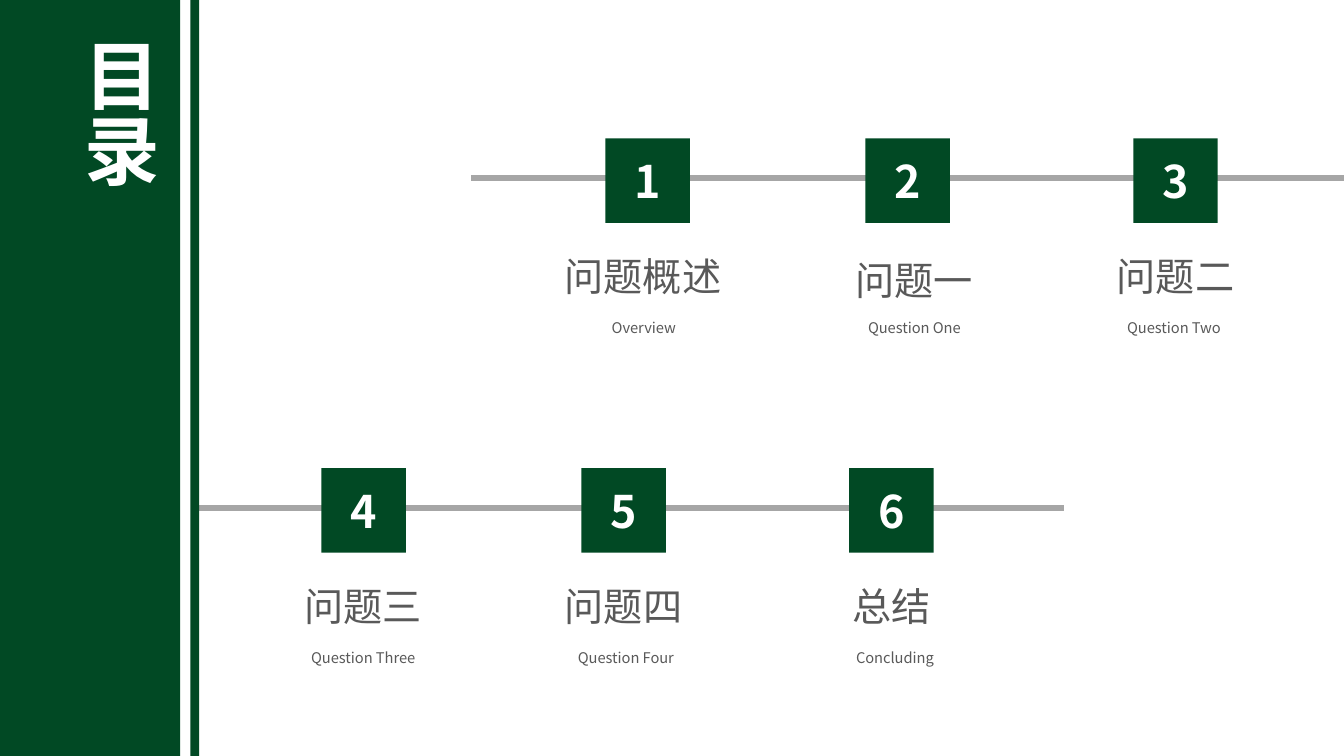
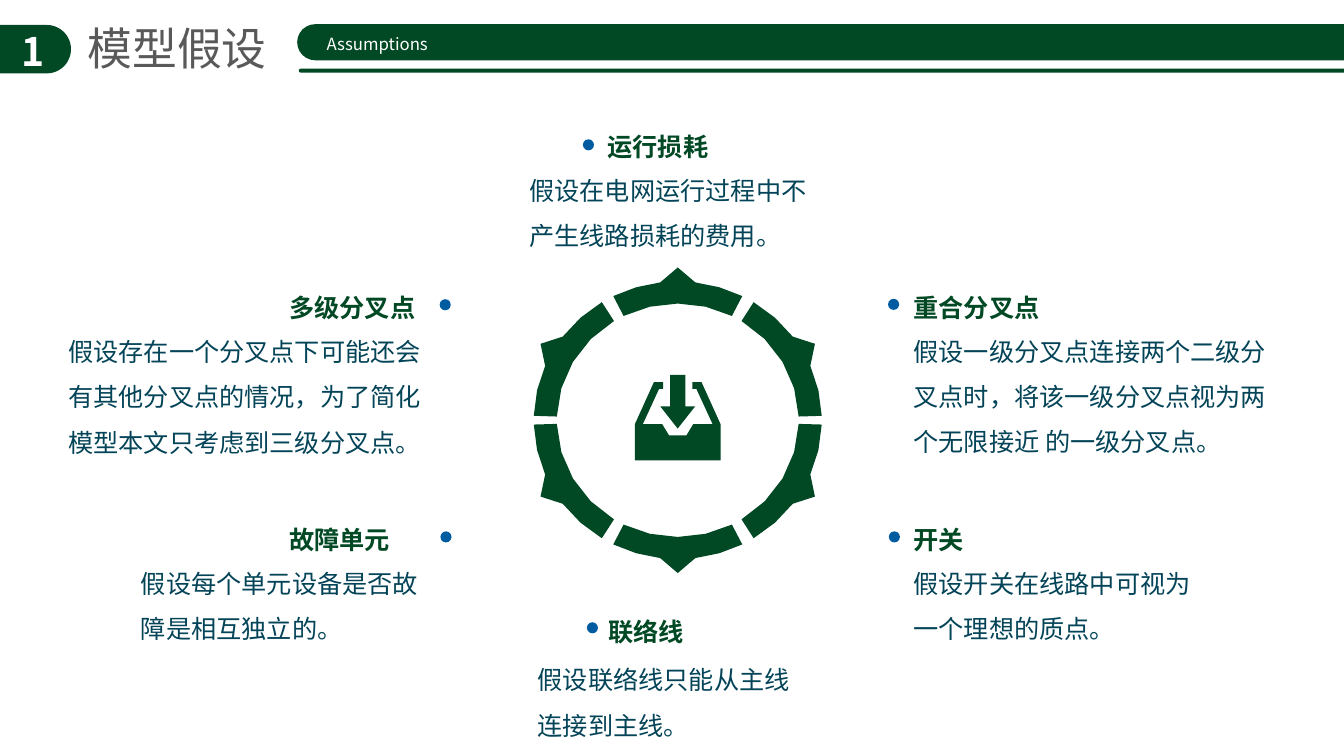
from math import cos, radians, sin

from lxml.etree import SubElement
from pptx import Presentation
from pptx.dml.color import RGBColor
from pptx.enum.shapes import MSO_CONNECTOR, MSO_SHAPE as Preset
from pptx.enum.text import MSO_ANCHOR, MSO_AUTO_SIZE, PP_ALIGN as Align
from pptx.oxml.ns import qn
from pptx.util import Cm, Pt

GREEN, BLUE, TEAL = "014924", "005CA1", "044458"
GRAY, RAIL_GRAY, WHITE = "595959", "A6A6A6", "FFFFFF"
SANS, BODY = "Noto Sans CJK SC", "Calibri"
WIDTH, HEIGHT = 33.87, 19.05


def paint(shape, color):
    """Give a shape a flat fill without line or shadow."""
    shape.fill.solid()
    shape.fill.fore_color.rgb = RGBColor.from_string(color)
    shape.line.fill.background()
    shape.shadow.inherit = False
    return shape


def write(shape, text, size, color, bold=False, align=Align.LEFT, font=SANS,
          spacing=None, anchor=MSO_ANCHOR.TOP, fit=MSO_AUTO_SIZE.SHAPE_TO_FIT_TEXT):
    frame = shape.text_frame
    frame.word_wrap = True
    frame.auto_size = fit
    frame.vertical_anchor = anchor
    paragraph = frame.paragraphs[0]
    paragraph.alignment = align
    if spacing:
        paragraph.line_spacing = spacing
    run = paragraph.add_run()
    run.text = text
    run.font.size = Pt(size)
    run.font.bold = bold
    run.font.color.rgb = RGBColor.from_string(color)
    run.font.name = font
    SubElement(run.font._element, qn("a:ea")).set("typeface", font)


deck = Presentation()
deck.slide_width, deck.slide_height = Cm(WIDTH), Cm(HEIGHT)
title_only = deck.slide_layouts[5]

# Contents: two rails of numbered squares
contents = deck.slides.add_slide(title_only)
shapes = contents.shapes

SQUARE = 2.13
LABEL_WIDTH = 5
COLUMNS = (0, 6.55, 13.3)
# first square's left, square top, rail start, rail end, entries
# entry: heading, caption, heading shift, caption shift, heading drop
rails = [
    (15.26, 3.49, 11.88, WIDTH, [
        ("问题概述", "Overview", -0.12, -0.1, 0),
        ("问题一", "Question One", 0.17, 0.17, 0.1),
        ("问题二", "Question Two", 0, -0.04, 0)]),
    (8.1, 11.8, 4.83, 26.82, [
        ("问题三", "Question Three", -0.02, -0.01, 0),
        ("问题四", "Question Four", 0, 0.06, 0),
        ("总结", "Concluding", 0, 0.09, 0)]),
]
number = 0
for first_left, top, start, end, entries in rails:
    rail_y = Cm(top + 1)
    rail = shapes.add_connector(MSO_CONNECTOR.STRAIGHT, Cm(start), rail_y, Cm(end), rail_y)
    rail.line.color.rgb = RGBColor.from_string(RAIL_GRAY)
    rail.line.width = Pt(4)
    SubElement(rail._element.spPr, qn("a:effectLst"))
    for offset, (heading, caption, heading_shift, caption_shift, drop) in zip(COLUMNS, entries):
        number += 1
        left = first_left + offset
        square = shapes.add_shape(Preset.RECTANGLE, Cm(left), Cm(top), Cm(SQUARE), Cm(SQUARE))
        write(paint(square, GREEN), str(number), 32, WHITE, bold=True, align=Align.CENTER,
              anchor=MSO_ANCHOR.MIDDLE, fit=MSO_AUTO_SIZE.NONE)
        label_left = left + (SQUARE - LABEL_WIDTH) / 2
        for text, size, shift, label_top, height in (
                (heading, 28, heading_shift, top + 2.74 + drop, 1.45),
                (caption, 10.5, caption_shift, top + 4.42, 0.71)):
            label = shapes.add_textbox(Cm(label_left + shift), Cm(label_top),
                                       Cm(LABEL_WIDTH), Cm(height))
            write(label, text, size, GRAY, align=Align.CENTER)

for left, width in ((0, 4.54), (4.8, 0.22)):
    paint(shapes.add_shape(Preset.RECTANGLE, Cm(left), 0, Cm(width), Cm(HEIGHT)), GREEN)

title = shapes.title
title.left, title.top, title.width, title.height = map(Cm, (1.6, 0.82, 2.82, 4.88))
write(title, "目录", 54, WHITE, bold=True, align=Align.JUSTIFY)
title.text_frame._txBody.bodyPr.set("vert", "eaVert")
# the title belongs in front of the side band
shapes._spTree.append(title._element)

# Assumptions: header, ring and six topics
assumptions = deck.slides.add_slide(title_only)
shapes = assumptions.shapes

for box in ((-0.7, 0.63, 2.49, 1.22), (7.49, 0.61, 28.75, 0.91), (7.53, 1.73, 28.75, 0.1)):
    pill = paint(shapes.add_shape(Preset.ROUNDED_RECTANGLE, *map(Cm, box)), GREEN)
    pill.adjustments[0] = 0.5
section = shapes.add_textbox(*map(Cm, (0.18, 0.56, 1.3, 1.45)))
write(section, "1", 28, WHITE, bold=True, align=Align.CENTER)
subtitle = shapes.add_textbox(*map(Cm, (7.98, 0.72, 3.15, 0.76)))
write(subtitle, "Assumptions", 12, WHITE)
title = shapes.title
title.left, title.top, title.width, title.height = map(Cm, (1.95, 0.39, 5.08, 1.63))
write(title, "模型假设", 32, GRAY)

CENTER_X, CENTER_Y = 17.08, 10.59
RADIUS_X, RADIUS_Y = 3.63, 3.5
INNER, PEAK = 0.84, 1.1
SHOULDER = 7
for middle in range(30, 390, 60):
    # the top and bottom pieces are a little shorter
    half = 26.6 if middle in (90, 270) else 28.2
    bend = (half + SHOULDER) / 2
    rim = [(-half, 1), (-bend, 1), (-SHOULDER, 1), (0, PEAK), (SHOULDER, 1), (bend, 1),
           (half, 1)] + [(half * part, INNER) for part in (1, 0.5, 0, -0.5, -1)]
    points = [(Cm(CENTER_X + RADIUS_X * reach * cos(radians(middle + angle))),
               Cm(CENTER_Y + RADIUS_Y * reach * sin(radians(middle + angle))))
              for angle, reach in rim]
    builder = shapes.build_freeform(*points[0])
    builder.add_line_segments(points[1:], close=True)
    paint(builder.convert_to_shape(), GREEN)

# right halves of the symmetric icon: distance from the axis, y
arrow_half = [(0.19, 9.45), (0.19, 10.24), (0.44, 10.24), (0, 10.8)]
tray_half = [(0.22, 10.97), (0.39, 10.69), (0.88, 10.69), (0.47, 9.8), (0.37, 9.8),
             (0.37, 9.63), (0.6, 9.63), (1.08, 10.69), (1.08, 11.6)]
for half_outline in (arrow_half, tray_half):
    mirrored = [(-x, y) for x, y in reversed(half_outline) if x]
    points = [(Cm(CENTER_X + x), Cm(y)) for x, y in half_outline + mirrored]
    builder = shapes.build_freeform(*points[0])
    builder.add_line_segments(points[1:], close=True)
    paint(builder.convert_to_shape(), GREEN)

DOT = 0.28
# heading, heading left, top and width, dot left and top, body left, top and width, body
topics = [
    ("多级分叉点", 7.04, 7.24, 3.71, 11.08, 7.54, 1.47, 7.97, 9.96,
     "假设存在一个分叉点下可能还会有其他分叉点的情况，为了简化模型本文只考虑到三级分叉点。"),
    ("故障单元", 7.04, 13.09, 3.07, 11.1, 13.39, 3.3, 13.81, 7.95,
     "假设每个单元设备是否故障是相互独立的。"),
    ("运行损耗", 15.06, 3.18, 3.07, 14.69, 3.51, 13.09, 3.91, 7.95,
     "假设在电网运行过程中不产生线路损耗的费用。"),
    ("重合分叉点", 22.77, 7.24, 3.71, 22.38, 7.53, 22.77, 7.96, 9.8,
     "假设一级分叉点连接两个二级分叉点时，将该一级分叉点视为两个无限接近 的一级分叉点。"),
    ("开关", 22.77, 13.09, 1.8, 22.4, 13.39, 22.77, 13.81, 7.95,
     "假设开关在线路中可视为一个理想的质点。"),
    ("联络线", 15.08, 15.4, 2.44, 14.79, 15.68, 13.3, 16.24, 7.26,
     "假设联络线只能从主线连接到主线。"),
]
for (heading, left, top, width, dot_left, dot_top,
     body_left, body_top, body_width, body) in topics:
    write(shapes.add_textbox(Cm(left), Cm(top), Cm(width), Cm(1.02)),
          heading, 18, GREEN, bold=True)
    write(shapes.add_textbox(Cm(body_left), Cm(body_top), Cm(body_width), Cm(2.44)),
          body, 18, TEAL, font=BODY, spacing=1.5)
    paint(shapes.add_shape(Preset.OVAL, Cm(dot_left), Cm(dot_top), Cm(DOT), Cm(DOT)), BLUE)

deck.save("out.pptx")
